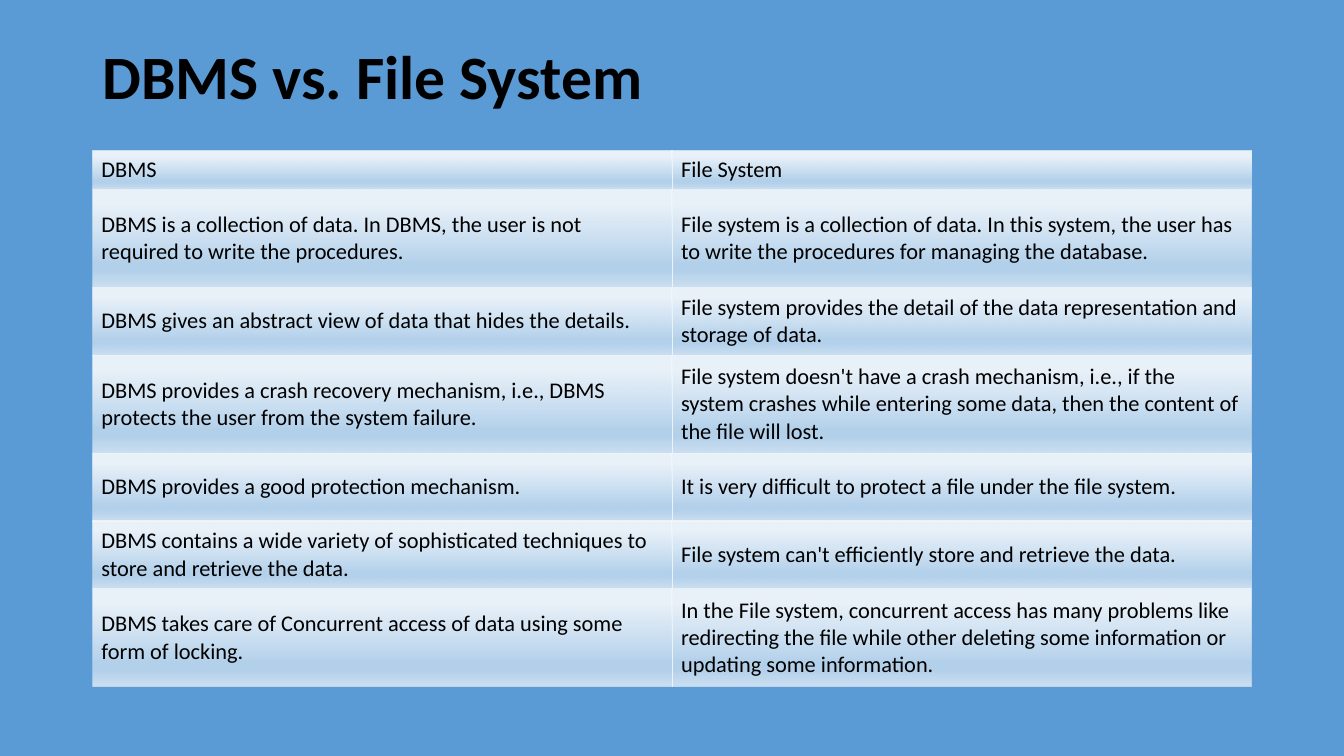
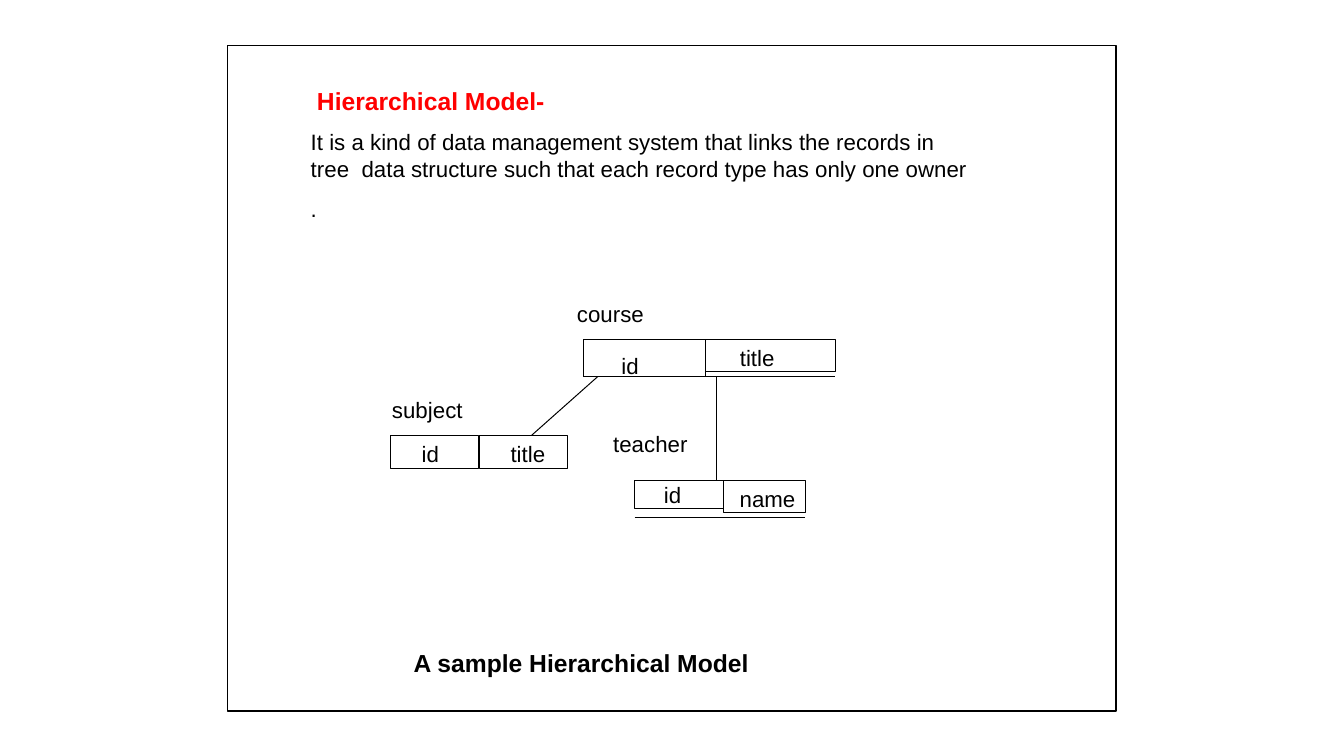
import copy

import lxml.etree
import pptx
import pptx.dml.color
import pptx.enum.shapes
import pptx.enum.text
import pptx.oxml
import pptx.oxml.ns
import pptx.util

Pt = pptx.util.Pt
RGB = pptx.dml.color.RGBColor.from_string
RECT = pptx.enum.shapes.MSO_SHAPE.RECTANGLE
STRAIGHT = pptx.enum.shapes.MSO_CONNECTOR.STRAIGHT
ANCHOR = pptx.enum.text.MSO_ANCHOR
qn = pptx.oxml.ns.qn

COLORS = {"blue": "5B9BD5", "white": "FFFFFF", "black": "000000", "red": "FF0000",
          "glow": "F7FAFD", "sky": "B5D2EC", "mist": "CEE1F2", "rule": "EAF2FA"}
LABEL = 15.9
HEAD = 17.6
HAIR = 0.72

deck = pptx.Presentation()
deck.slide_width, deck.slide_height = Pt(960), Pt(540)
slides = []
for color in ("blue", "white"):
    slide = deck.slides.add_slide(deck.slide_layouts[6])
    slide.background.fill.solid()
    slide.background.fill.fore_color.rgb = RGB(COLORS[color])
    slides.append(slide)
versus, model = slides


def write(shape, text, size, font="Arial", color="black", bold=False, left=1, top=1):
    """Set top-left text in a shape, with left and top insets in points."""
    frame = shape.text_frame
    frame.word_wrap = True
    frame.vertical_anchor = ANCHOR.TOP
    frame.margin_left, frame.margin_top = Pt(left), Pt(top)
    frame.margin_right = frame.margin_bottom = 0
    frame.text = text
    for para in frame.paragraphs:
        para.alignment = pptx.enum.text.PP_ALIGN.LEFT
        para.font.size = Pt(size)
        para.font.name = font
        para.font.bold = bold
        para.font.color.rgb = RGB(COLORS[color])
    return frame


def outline(left, top, width, height, weight):
    box = model.shapes.add_shape(RECT, Pt(left), Pt(top), Pt(width), Pt(height))
    box.shadow.inherit = False
    box.fill.background()
    box.line.color.rgb = RGB(COLORS["black"])
    box.line.width = Pt(weight)
    return box


# Slide 1: comparison table
title = versus.shapes.add_textbox(Pt(66), Pt(33), Pt(828), Pt(48))
frame = write(title, "DBMS vs. File System", 44, "Calibri", bold=True, left=7.2, top=0)
frame.paragraphs[0].line_spacing = 0.9

ROWS = [
    (28, "DBMS", "File System"),
    (70, "DBMS is a collection of data. In DBMS, the user is not required to write the procedures.",
     "File system is a collection of data. In this system, the user has to write the procedures "
     "for managing the database."),
    (48.5, "DBMS gives an abstract view of data that hides the details.",
     "File system provides the detail of the data representation and storage of data."),
    (70, "DBMS provides a crash recovery mechanism, i.e., DBMS protects the user from the system failure.",
     "File system doesn't have a crash mechanism, i.e., if the system crashes while entering some "
     "data, then the content of the file will lost."),
    (48.5, "DBMS provides a good protection mechanism.",
     "It is very difficult to protect a file under the file system."),
    (48.5, "DBMS contains a wide variety of sophisticated techniques to store and retrieve the data.",
     "File system can't efficiently store and retrieve the data."),
    (70, "DBMS takes care of Concurrent access of data using some form of locking.",
     "In the File system, concurrent access has many problems like redirecting the file while "
     "other deleting some information or updating some information."),
]
NS = pptx.oxml.ns.nsdecls("a")
STOPS = [(15, "glow", 91), (74, "sky", 100), (83, "sky", 100), (100, "mist", 100)]
stops = "".join(
    f'<a:gs pos="{pos * 1000}"><a:srgbClr val="{COLORS[name]}">'
    f'<a:alpha val="{alpha * 1000}"/></a:srgbClr></a:gs>'
    for pos, name, alpha in STOPS)
shade = pptx.oxml.parse_xml(
    f'<a:gradFill {NS} rotWithShape="1"><a:gsLst>{stops}</a:gsLst>'
    '<a:lin ang="5400000" scaled="0"/></a:gradFill>')
rule = pptx.oxml.parse_xml(
    f'<a:lnR {NS} w="6350"><a:solidFill><a:srgbClr val="{COLORS["rule"]}"/></a:solidFill></a:lnR>')

height = sum(row[0] for row in ROWS)
table = versus.shapes.add_table(len(ROWS), 2, Pt(66), Pt(107.3), Pt(828), Pt(height)).table
table.first_row = table.horz_banding = False
# Built-in style without fills or grid
table._tbl.tblPr.find(qn("a:tableStyleId")).text = "{2D5ABB26-0587-4C30-8999-92F81FD0307C}"
for r, (height, *texts) in enumerate(ROWS):
    table.rows[r].height = Pt(height)
    for c, text in enumerate(texts):
        cell = table.cell(r, c)
        cell.vertical_anchor = ANCHOR.MIDDLE
        cell.margin_left = cell.margin_right = Pt(6.5)
        cell.margin_top = cell.margin_bottom = Pt(3)
        cell.text = text
        font = cell.text_frame.paragraphs[0].runs[0].font
        font.size, font.name = Pt(16), "Calibri"
        font.color.rgb = RGB(COLORS["black"])
        props = cell._tc.get_or_add_tcPr()
        if c == 0:
            props.append(copy.deepcopy(rule))
        props.append(copy.deepcopy(shade))

# Slide 2: hierarchical model
outline(162.7, 32.3, 634.5, 475.5, 1)
TEXTS = [
    ("Hierarchical Model-", 225.4, 60.5, 170, 22, HEAD, "red", True),
    ("It is a kind of data management system that links the records in tree  data structure such "
     "that each record type has only one owner\n.", 221, 90.7, 477.4, 68.4, LABEL, "black", False),
    ("course", 411.1, 213.8, 54, 20, LABEL, "black", False),
    ("subject", 279, 282.2, 56, 20, LABEL, "black", False),
    ("teacher", 437, 306, 60, 20, LABEL, "black", False),
    ("A sample Hierarchical Model", 294.5, 461.5, 248, 22, HEAD, "black", True),
]
for text, left, top, width, height, size, color, bold in TEXTS:
    box = model.shapes.add_textbox(Pt(left), Pt(top), Pt(width), Pt(height))
    frame = write(box, text, size, color=color, bold=bold)
    for para in frame.paragraphs[1:]:
        para.space_before = Pt(9.6)

# Record fields: text, width, height, left inset, top inset
RECORDS = [
    (416.5, 242.5, [("id", 87.5, 26.6, 27.4, 9.4), ("title", 92.5, 23, 24.5, 3.6)]),
    (278.7, 311, [("id", 63.5, 23.4, 22.5, 3.6), ("title", 63.5, 23.4, 22.5, 3.6)]),
    (453.3, 343, [("id", 63.5, 20.2, 21, 1), ("name", 58.5, 23, 11.5, 3.6)]),
]
for left, top, fields in RECORDS:
    for text, width, height, inset, drop in fields:
        box = outline(left, top, width, height, HAIR)
        write(box, text, LABEL, left=inset, top=drop)
        left += width

# Record underlines, then links from course to subject and teacher
LINES = [(416.5, 269, 596.7, 269), (453.3, 369.7, 575.3, 369.7),
         (427, 269, 379.7, 311), (511.6, 269, 511.6, 343)]
for ends in LINES:
    line = model.shapes.add_connector(STRAIGHT, *map(Pt, ends))
    line.line.color.rgb = RGB(COLORS["black"])
    line.line.width = Pt(HAIR)
    lxml.etree.SubElement(line._element.spPr, qn("a:effectLst"))

deck.save("out.pptx")
